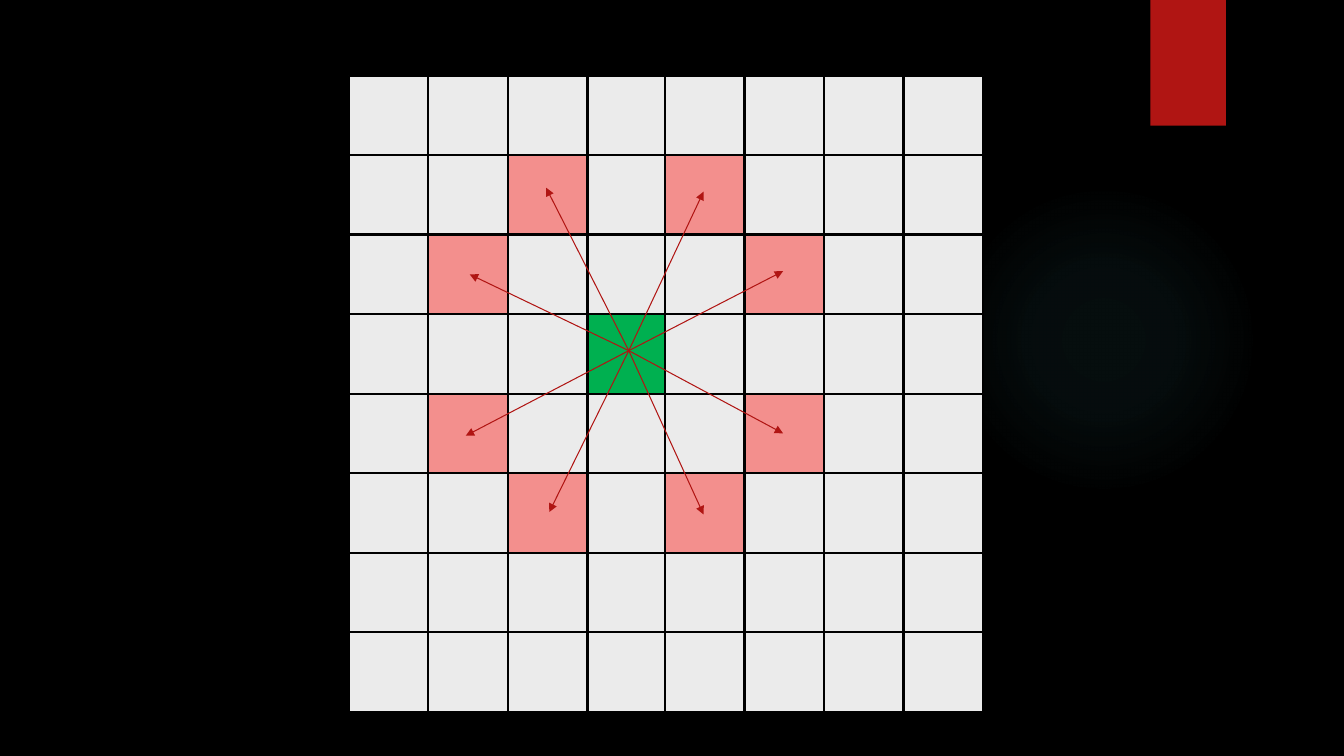
"""Build a slide showing the eight knight moves on a chessboard."""
from dataclasses import dataclass
from itertools import product

from pptx import Presentation
from pptx.dml.color import RGBColor
from pptx.enum.shapes import MSO_CONNECTOR, MSO_SHAPE
from pptx.oxml import parse_xml
from pptx.oxml.ns import nsdecls
from pptx.slide import Slide
from pptx.util import Inches, Pt

BLACK = RGBColor(0x00, 0x00, 0x00)
RED = RGBColor(0xB0, 0x15, 0x13)
GREY = RGBColor(0xEB, 0xEB, 0xEB)
PINK = RGBColor(0xF3, 0x8F, 0x8D)
GREEN = RGBColor(0x00, 0xB0, 0x50)
TEAL = RGBColor(0x50, 0xB9, 0xC1)

SQUARES = 8
SEAM = 0.02
KNIGHT = (3.52, 3.46)
TIPS = [(2.48, 1.41), (1.52, 2.5), (4.46, 1.46), (5.46, 2.46),
        (1.47, 4.53), (2.52, 5.49), (4.46, 5.52), (5.46, 4.5)]
GLOW_STOPS = [(0, 7), (36, 6), (69, 0)]


@dataclass
class Board:
    """Draw on one slide, with lengths in columns and rows of the board."""
    s: Slide
    left: float = 3.46
    top: float = 0.75
    cell: float = 6.31 / SQUARES

    def point(self, col, row):
        """Return the slide position of a board position."""
        return (Inches(self.left + col * self.cell),
                Inches(self.top + row * self.cell))

    def shape(self, kind, col, row, width, height):
        """Add a preset shape without shadow or outline."""
        sp = self.s.shapes.add_shape(kind, *self.point(col, row),
                                     Inches(width * self.cell),
                                     Inches(height * self.cell))
        sp.shadow.inherit = False
        sp.line.fill.background()
        return sp

    def rect(self, col, row, width, height, color):
        """Add a filled rectangle."""
        sp = self.shape(MSO_SHAPE.RECTANGLE, col, row, width, height)
        sp.fill.solid()
        sp.fill.fore_color.rgb = color
        return sp

    def square(self, col, row, color):
        """Add an outlined square, closing the seam in mid-board."""
        shift = SEAM / self.cell if col >= SQUARES // 2 else 0
        sp = self.rect(col - shift, row, 1, 1, color)
        sp.line.color.rgb = BLACK
        sp.line.width = Pt(1.5)

    def glow(self, col, row, size, color, stops):
        """Add a circle with a fading radial fill."""
        sp = self.shape(MSO_SHAPE.OVAL, col, row, size, size)
        gs = "".join(
            f'<a:gs pos="{pos * 1000}"><a:srgbClr val="{color}">'
            f'<a:alpha val="{alpha * 1000}"/></a:srgbClr></a:gs>'
            for pos, alpha in stops)
        grad = parse_xml(
            f'<a:gradFill {nsdecls("a")}><a:gsLst>{gs}</a:gsLst>'
            '<a:path path="circle"><a:fillToRect l="50000" t="50000" '
            'r="50000" b="50000"/></a:path></a:gradFill>')
        sp._element.spPr.insert(2, grad)

    def arrow(self, start, end, color):
        """Add a thin straight arrow."""
        cx = self.s.shapes.add_connector(
            MSO_CONNECTOR.STRAIGHT, *self.point(*start), *self.point(*end))
        cx.line.color.rgb = color
        cx.line.width = Pt(0.75)
        cx.line._get_or_add_ln().append(
            parse_xml(f'<a:tailEnd {nsdecls("a")} type="triangle"/>'))
        cx._element.spPr.append(parse_xml(f'<a:effectLst {nsdecls("a")}/>'))


prs = Presentation()
prs.slide_width, prs.slide_height = Inches(13.33), Inches(7.5)
s = prs.slides.add_slide(prs.slide_layouts[6])
s.background.fill.solid()
s.background.fill.fore_color.rgb = BLACK

board = Board(s)
board.glow(7.54, 1.37, 3.9, TEAL, GLOW_STOPS)
board.rect(10.08, -0.95, 0.95, 1.58, RED)

colors = {(int(col), int(row)): PINK for col, row in TIPS}
colors[int(KNIGHT[0]), int(KNIGHT[1])] = GREEN
for row, col in product(range(SQUARES), repeat=2):
    board.square(col, row, colors.get((col, row), GREY))
for tip in TIPS:
    board.arrow(KNIGHT, tip, RED)

prs.save("out.pptx")
